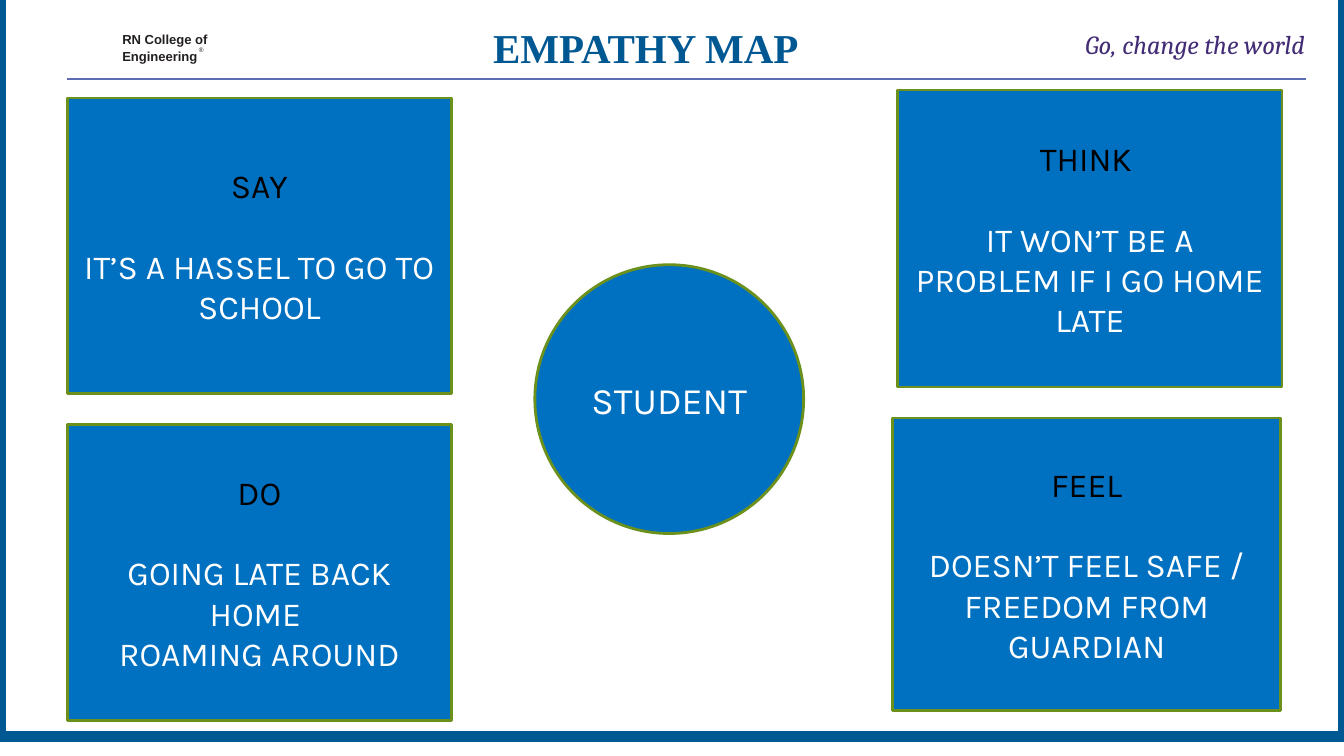
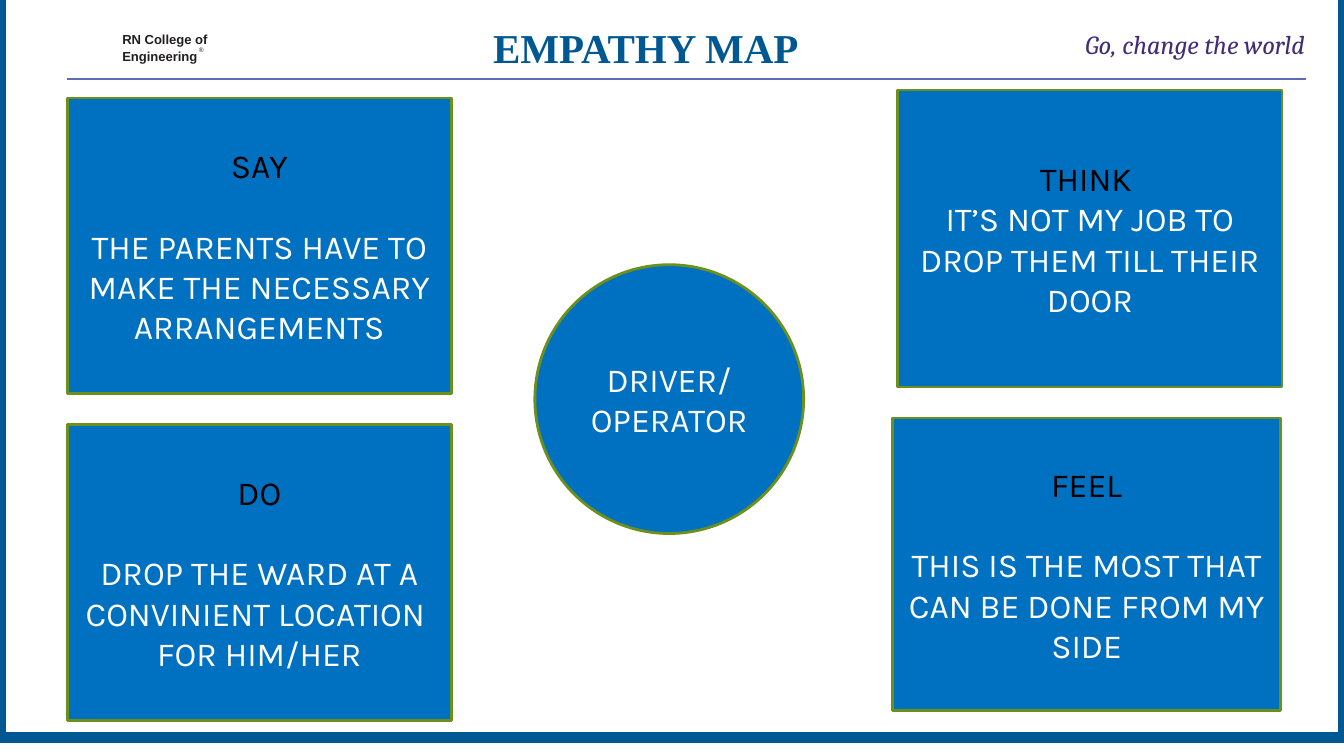
from dataclasses import dataclass

from lxml import etree
from pptx import Presentation
from pptx.dml.color import RGBColor
from pptx.enum.shapes import MSO_CONNECTOR, MSO_SHAPE
from pptx.enum.text import MSO_ANCHOR, MSO_AUTO_SIZE, PP_ALIGN
from pptx.oxml.ns import qn
from pptx.util import Inches, Pt

LEFT, CENTER, RIGHT = PP_ALIGN.LEFT, PP_ALIGN.CENTER, PP_ALIGN.RIGHT
TOP, MIDDLE = MSO_ANCHOR.TOP, MSO_ANCHOR.MIDDLE
RECT, OVAL = MSO_SHAPE.RECTANGLE, MSO_SHAPE.OVAL
STRAIGHT, NO_FIT = MSO_CONNECTOR.STRAIGHT, MSO_AUTO_SIZE.NONE


@dataclass(frozen=True)
class Theme:
    frame: str = "005893"
    rule: str = "5E6DB3"
    fill: str = "0070C0"
    edge: str = "6B901C"
    white: str = "FFFFFF"
    # font, size, colour, bold, italic
    topic: tuple = ("Times New Roman", 22, "005893", True, False)
    motto: tuple = ("Cambria", 14, "422C75", False, True)
    school: tuple = ("Arial", 7, "231F20", True, False)
    mark: tuple = ("Arial", 3.5, "231F20", False, False)
    head: tuple = ("Karla", 18, "000000", False, False)
    body: tuple = ("Karla", 18, "FFFFFF", False, False)
    hub: tuple = ("Karla", 20, "FFFFFF", False, False)
    gap: float = 21.6  # one line of body text


theme = Theme()

# Left, top, width, height in inches
SPOTS = {
    "SAY": (0.5, 0.73, 2.86, 2.2),
    "THINK ": (6.68, 0.67, 2.86, 2.21),
    "DO": (0.5, 3.16, 2.86, 2.2),
    "FEEL": (6.64, 3.11, 2.89, 2.18),
}
HEADER = [
    ((0.91, 0.23, 0.68, 0.25), ["RN College of", "Engineering"], theme.school, LEFT, 1.06),
    ((1.48, 0.34, 0.06, 0.05), ["®"], theme.mark, LEFT, 1),
    ((1.25, 0.17, 7.11, 0.38), ["EMPATHY MAP"], theme.topic, CENTER, 1),
]
MAPS = [
    {
        "top": -0.15,
        "hub": (["STUDENT"], theme.hub),
        "SAY": ["IT’S A HASSEL TO GO TO SCHOOL"],
        "THINK ": ["IT WON’T BE A PROBLEM IF I GO HOME LATE"],
        "DO": ["GOING LATE BACK HOME ", "ROAMING AROUND"],
        "FEEL": ["DOESN’T FEEL SAFE /", "FREEDOM FROM GUARDIAN"],
        "tight": [],
    },
    {
        "top": -0.14,
        "hub": (["DRIVER/", "OPERATOR"], theme.body),
        "SAY": ["THE PARENTS HAVE TO MAKE THE NECESSARY ARRANGEMENTS"],
        "THINK ": ["IT’S NOT MY JOB TO DROP THEM TILL THEIR DOOR"],
        "DO": ["DROP THE WARD AT A CONVINIENT LOCATION  FOR HIM/HER"],
        "FEEL": ["THIS IS THE MOST THAT CAN BE DONE FROM MY SIDE"],
        "tight": ["THINK "],
    },
]


def write(shape, lines, align, anchor=TOP, margin=0.0, space=1):
    """Fill a shape with (text, style) lines, one paragraph each."""
    text = shape.text_frame
    text.word_wrap, text.auto_size, text.vertical_anchor = True, NO_FIT, anchor
    text.margin_left = text.margin_right = Inches(margin)
    text.margin_top = text.margin_bottom = Inches(margin / 2)
    text.text = "\n".join(line for line, _ in lines)
    for para, (_, style) in zip(text.paragraphs, lines):
        para.alignment, para.line_spacing = align, space
        font = para.font
        font.name, size, color, font.bold, font.italic = style
        font.size, font.color.rgb = Pt(size), RGBColor.from_string(color)


def draw(slide, kind, spot, fill, edge, width):
    """Add a flat shape with a solid fill and outline."""
    shape = slide.shapes.add_shape(kind, *map(Inches, spot))
    shape.shadow.inherit = False
    shape.fill.solid()
    shape.fill.fore_color.rgb = RGBColor.from_string(fill)
    shape.line.color.rgb = RGBColor.from_string(edge)
    shape.line.width = Pt(width)
    return shape


deck = Presentation()
deck.slide_width = Inches(10)
deck.slide_height = deck.slide_width * 9 // 16

for page in MAPS:
    slide = deck.slides.add_slide(deck.slide_layouts[5])

    # The white frame goes behind the title
    frame = draw(slide, RECT, (0, page["top"], 10, 5.63), theme.white, theme.frame, 6)
    title = slide.shapes.title
    title._element.addprevious(frame._element)

    rule = slide.shapes.add_connector(STRAIGHT, *map(Inches, (0.5, 0.59, 9.72, 0.59)))
    rule.line.color.rgb = RGBColor.from_string(theme.rule)
    rule.line.width = Pt(1.25)
    etree.SubElement(rule._element.spPr, qn("a:effectLst"))

    title.left, title.top, title.width, title.height = map(Inches, (7.88, 0.21, 1.83, 0.24))
    write(title, [("Go, change the world", theme.motto)], RIGHT)
    for spot, lines, style, align, space in HEADER:
        box = slide.shapes.add_textbox(*map(Inches, spot))
        write(box, [(line, style) for line in lines], align, space=space)

    for name, spot in SPOTS.items():
        card = draw(slide, RECT, spot, theme.fill, theme.edge, 1.5)
        lines = [(name, theme.head)] + [(line, theme.body) for line in page[name]]
        write(card, lines, CENTER, MIDDLE, 0.1)
        if name not in page["tight"]:
            card.text_frame.paragraphs[0].space_after = Pt(theme.gap)

    hub = draw(slide, OVAL, (3.98, 1.97, 2, 2), theme.fill, theme.edge, 1.5)
    lines, style = page["hub"]
    write(hub, [(line, style) for line in lines], CENTER, MIDDLE, 0.1)

deck.save("out.pptx")
